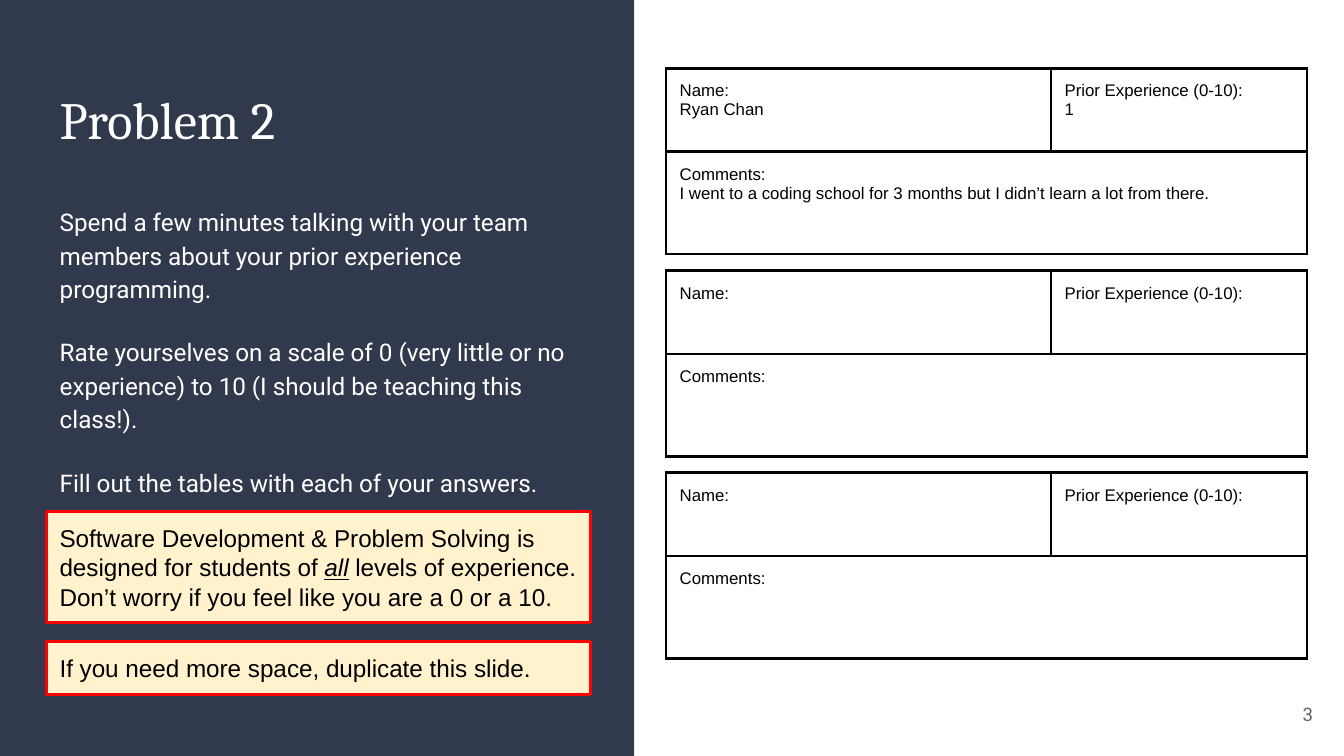
"""Builds the Problem 2 slide with its instructions and three answer tables."""
import pptx
import pptx.dml.color
import pptx.enum.shapes
import pptx.enum.text
import pptx.oxml
import pptx.oxml.ns
import pptx.util

Pt = pptx.util.Pt
Rgb = pptx.dml.color.RGBColor.from_string
Align = pptx.enum.text.PP_ALIGN
Anchor = pptx.enum.text.MSO_ANCHOR
Rect = pptx.enum.shapes.MSO_SHAPE.RECTANGLE

hues = {"navy": "31394D", "cream": "FFF2CC", "red": "FF0000",
        "black": "000000", "white": "FFFFFF", "gray": "666666"}
inset = {"margin_left": Pt(7.2), "margin_top": Pt(7.2),
         "margin_right": Pt(7.2), "margin_bottom": Pt(7.2)}
frame_set = {**inset, "word_wrap": True,
             "auto_size": pptx.enum.text.MSO_AUTO_SIZE.NONE}


def place(shape, left, top, width, height):
    """Moves a shape to a spot given in points."""
    spot = {"left": left, "top": top, "width": width, "height": height}
    for name, value in spot.items():
        setattr(shape, name, Pt(value))


def write(frame, paras, face, size, hue, anchor=Anchor.TOP, align=Align.LEFT, form=frame_set):
    """Fills a text frame; odd pieces split at a bar are italic and underlined."""
    for name, value in form.items():
        setattr(frame, name, value)
    frame.vertical_anchor = anchor
    for i, text in enumerate(paras):
        para = frame.add_paragraph() if i else frame.paragraphs[0]
        para.alignment = align
        para.space_before = Pt(0)
        for j, piece in enumerate(text.split("|")):
            run = para.add_run()
            run.text = piece
            look = {"name": face, "size": Pt(size)}
            if j % 2:
                look.update(italic=True, underline=True)
            for name, value in look.items():
                setattr(run.font, name, value)
            run.font.color.rgb = Rgb(hues[hue])


deck = pptx.Presentation()
deck.slide_width, deck.slide_height = Pt(720), Pt(405)
slide = deck.slides.add_slide(deck.slide_layouts[1])
shapes = slide.shapes

panel = shapes.add_shape(Rect, 0, 0, Pt(339.8), Pt(405))
panel.shadow.inherit = False
panel.fill.solid()
panel.fill.fore_color.rgb = Rgb(hues["navy"])
panel.line.fill.background()
shapes.element.insert(2, panel.element)

title = shapes.title
place(title, 24.8, 39.6, 291.6, 50.4)
write(title.text_frame, ["Problem 2"], "Cambria", 28, "white")

body = slide.placeholders[1]
place(body, 24.8, 101.5, 291.6, 170.6)
write(body.text_frame, [
    "Spend a few minutes talking with your team members about your prior experience programming.",
    "Rate yourselves on a scale of 0 (very little or no experience) to 10 (I should be teaching this class!).",
    "Fill out the tables with each of your answers.",
], "Roboto", 13, "white")
for i, para in enumerate(body.text_frame.paragraphs):
    para.line_spacing = 1.15
    para.space_before = Pt(16 if i else 0)
    props = para._p.get_or_add_pPr()
    props.set("marL", "0")
    props.set("indent", "0")
    props.append(pptx.oxml.parse_xml(f'<a:buNone {pptx.oxml.ns.nsdecls("a")}/>'))

notes = [
    (274.2, 59.4, "Software Development & Problem Solving is designed for students of |all| levels"
                  " of experience. Don’t worry if you feel like you are a 0 or a 10."),
    (343.6, 28.6, "If you need more space, duplicate this slide."),
]
for top, height, text in notes:
    note = shapes.add_shape(Rect, Pt(24.8), Pt(top), Pt(291.6), Pt(height))
    note.shadow.inherit = False
    note.fill.solid()
    note.fill.fore_color.rgb = Rgb(hues["cream"])
    note.line.color.rgb = Rgb(hues["red"])
    note.line.width = Pt(1.5)
    write(note.text_frame, [text], "Arial", 13, "black", Anchor.MIDDLE)

people = [
    ("Ryan Chan", "1", "I went to a coding school for 3 months but I didn’t learn a lot from there."),
    ("", "", ""),
    ("", "", ""),
]
labels = ["Name:", "Prior Experience (0-10):", "Comments:"]
for i, answers in enumerate(people):
    grid = shapes.add_table(2, 2, Pt(356.9), Pt(36.6 + 108.3 * i), Pt(343.4), Pt(99.6)).table
    grid.first_row = grid.horz_banding = False
    grid.columns[0].width, grid.columns[1].width = Pt(206.2), Pt(137.2)
    grid.rows[0].height, grid.rows[1].height = Pt(44.6), Pt(55)
    grid.cell(1, 0).merge(grid.cell(1, 1))
    for cell in (grid.cell(r, c) for r in range(2) for c in range(2)):
        props = cell._tc.get_or_add_tcPr()
        for side in "LRTB":
            props.append(pptx.oxml.parse_xml(
                f'<a:ln{side} {pptx.oxml.ns.nsdecls("a")} w="{Pt(1.5)}"><a:solidFill>'
                f'<a:srgbClr val="{hues["black"]}"/></a:solidFill></a:ln{side}>'))
        cell.fill.background()
    for (r, c), label, answer in zip([(0, 0), (0, 1), (1, 0)], labels, answers):
        cell = grid.cell(r, c)
        for name, value in inset.items():
            setattr(cell, name, value)
        write(cell.text_frame, [label, answer] if answer else [label], "Arial", 9, "black", form={}, anchor=None)
        cell.vertical_anchor = Anchor.TOP

page = shapes.add_textbox(Pt(667.4), Pt(367.2), Pt(43.2), Pt(31))
write(page.text_frame, ["3"], "Roboto", 10, "gray", Anchor.MIDDLE, Align.RIGHT)

deck.save("out.pptx")
